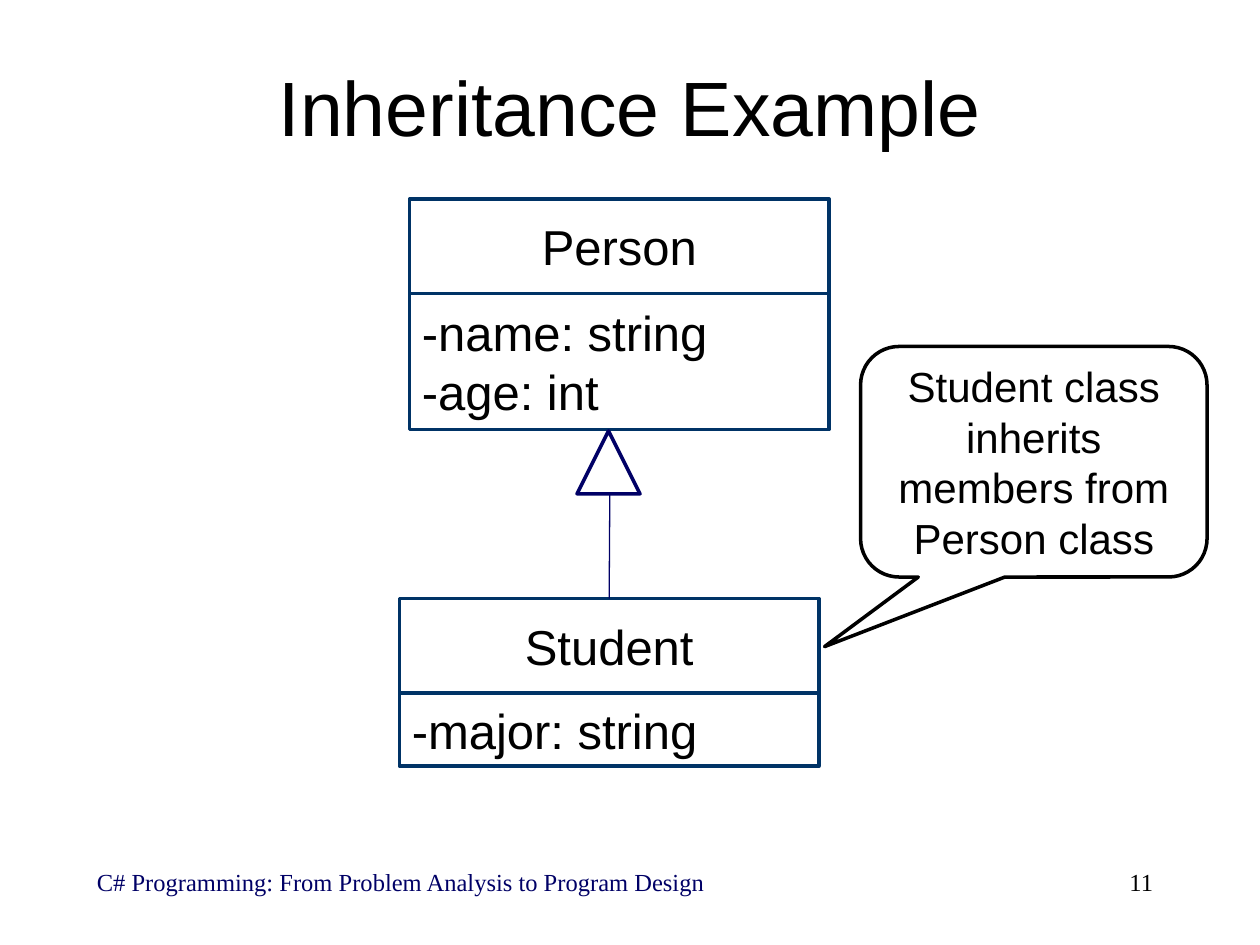
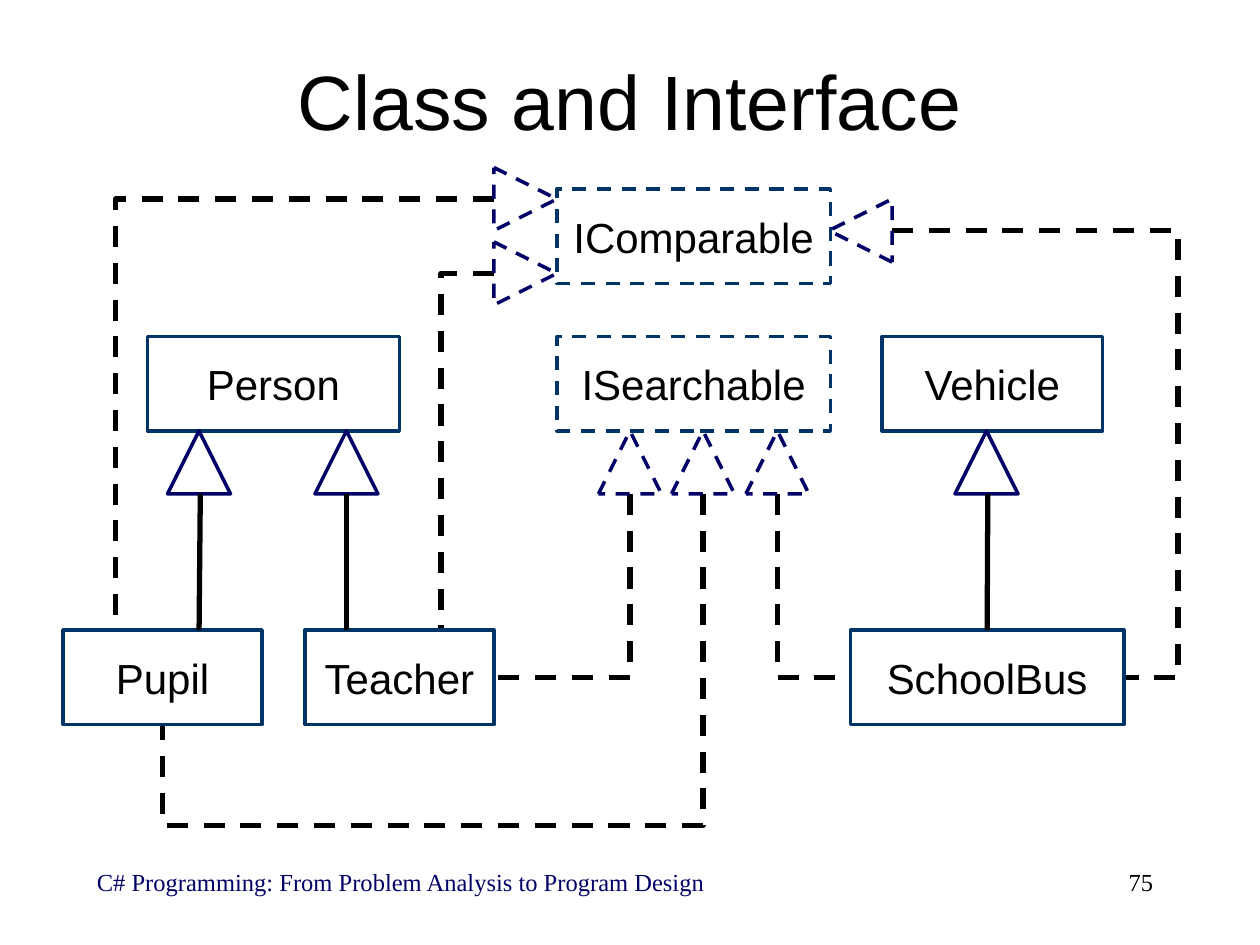
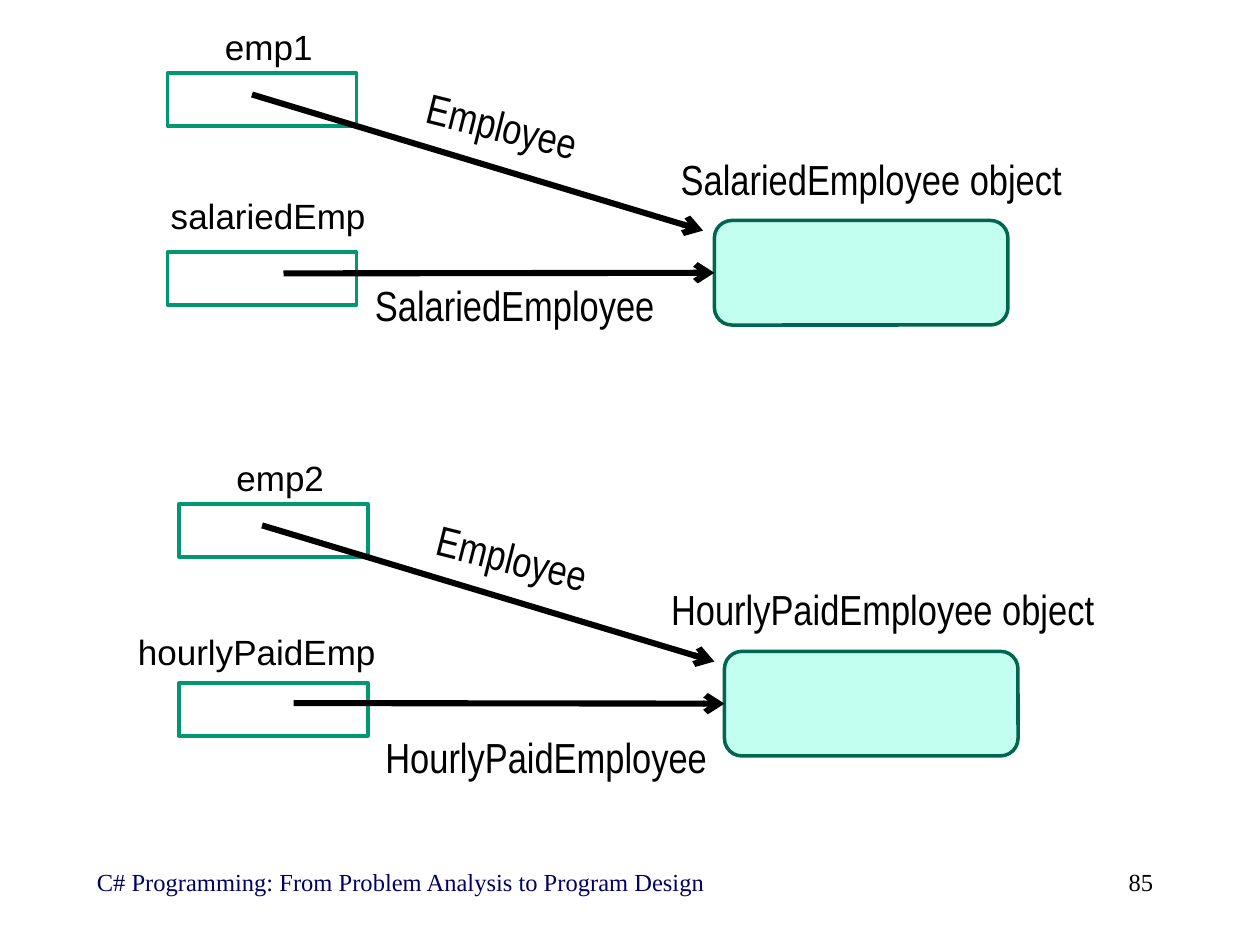
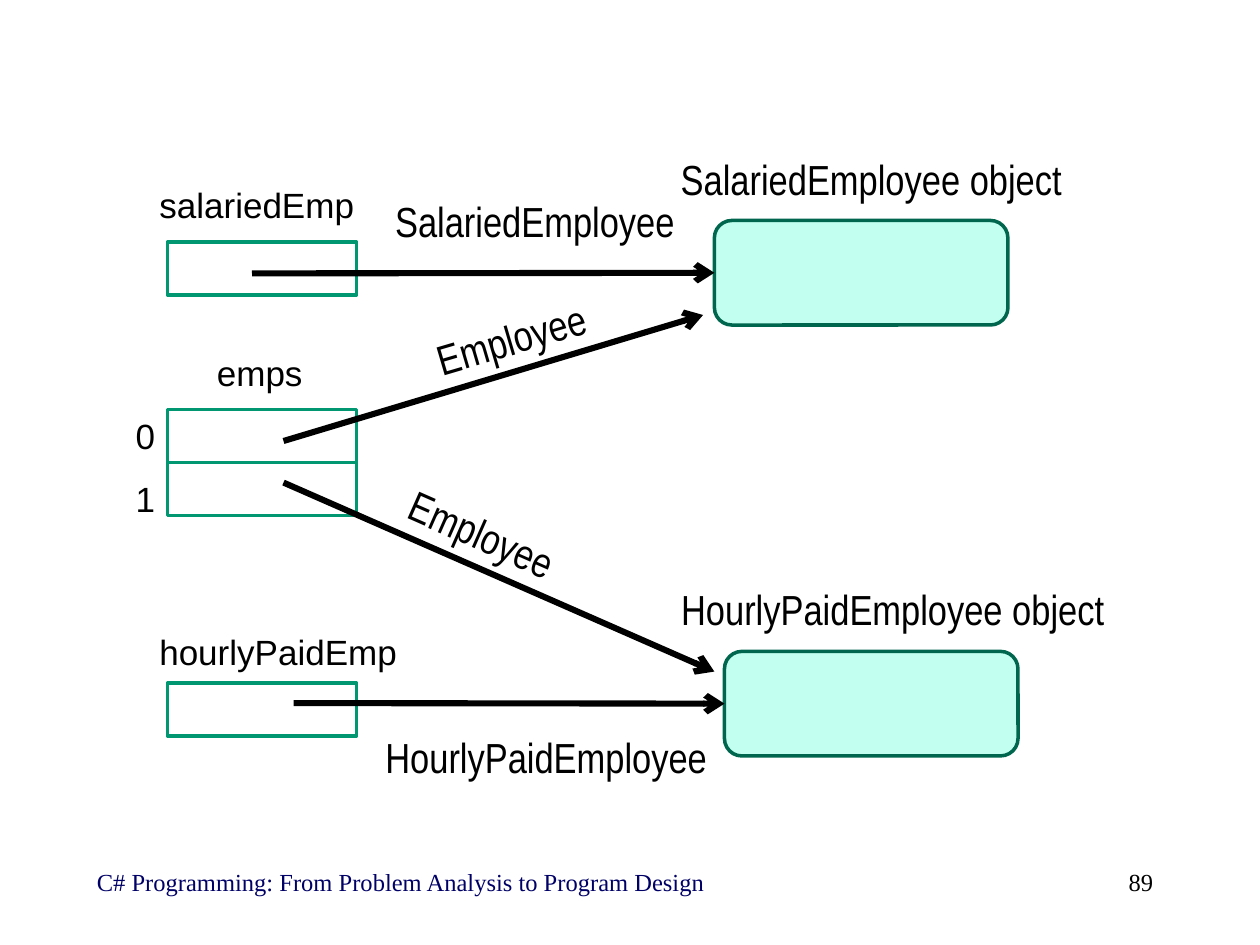
"""Build four slides of class diagrams and object references."""
from lxml import etree
from pptx import Presentation
from pptx import util as u
from pptx.dml.color import RGBColor
from pptx.enum import dml, shapes, text
from pptx.oxml.ns import qn

COLORS = {
    "black": "000000", "white": "FFFFFF", "navy": "000066", "class": "003366",
    "variable": "009771", "object": "00664D", "mint": "C2FFF0",
}
CENTER, LEFT, RIGHT = text.PP_ALIGN.CENTER, text.PP_ALIGN.LEFT, text.PP_ALIGN.RIGHT
TOP, MIDDLE = text.MSO_ANCHOR.TOP, text.MSO_ANCHOR.MIDDLE
STYLES = {
    "title": ("Arial", 44, "black", CENTER, MIDDLE),
    "class": ("Arial", 28, "black", CENTER, MIDDLE),
    "member": ("Arial", 28, "black", LEFT, MIDDLE),
    "small": ("Arial", 24, "black", CENTER, MIDDLE),
    "variable": ("Arial", 20, "black", RIGHT, MIDDLE),
    "type": ("Arial Narrow", 24, "black", CENTER, MIDDLE),
    "footer": ("Times New Roman", 14, "navy", LEFT, TOP),
    "number": ("Times New Roman", 14, "black", RIGHT, TOP),
}
FOOTER = "C# Programming: From Problem Analysis to Program Design"
RECTANGLE = shapes.MSO_SHAPE.RECTANGLE
TRIANGLE_SIDE, CLASS_HEIGHT = 0.5, 0.75
TYPE_SIZE, VARIABLE_SIZE, OBJECT_SIZE = (4.17, 0.67), (1.5, 0.42), (2.33, 0.83)

INHERITANCE = [
    ("Person", "class", (3.25, 1.58, 3.33, CLASS_HEIGHT)),
    ("Student", "class", (3.17, 4.75, 3.33, CLASS_HEIGHT)),
    ("-name: string\n-age: int", "member", (3.25, 2.33, 3.33, 1.08)),
    ("-major: string", "member", (3.17, 5.5, 3.33, 0.58)),
]
CALLOUT = "Student class inherits members from Person class"

CLASSES = [
    ("Person", 1.17, 2.67, 2, None, False),
    ("Pupil", 0.5, 5, 1.58, None, False),
    ("Teacher", 2.42, 5, 1.5, "white", False),
    ("Vehicle", 7, 2.67, 1.75, None, False),
    ("SchoolBus", 6.75, 5, 2.17, "white", False),
    ("ISearchable", 4.42, 2.67, 2.17, None, True),
    ("IComparable", 4.42, 1.5, 2.17, None, True),
]
TRIANGLES = [
    (1.33, 3.42, 0, False), (2.5, 3.42, 0, False), (7.58, 3.42, 0, False),
    (4.75, 3.42, 0, True), (5.33, 3.42, 0, True), (5.92, 3.42, 0, True),
    (3.92, 1.33, 90, True), (3.92, 1.92, 90, True), (6.58, 1.58, 270, True),
]
ROUTES = [
    [(5, 3.92), (5, 5.38), (3.92, 5.38)],
    [(6.17, 3.92), (6.17, 5.38), (6.75, 5.38)],
    [(5.58, 3.92), (5.58, 6.55), (1.29, 6.55), (1.29, 5.75)],
    [(3.92, 1.58), (0.92, 1.58), (0.92, 5)],
    [(7.08, 1.83), (9.35, 1.83), (9.35, 5.38), (8.92, 5.38)],
    [(3.92, 2.17), (3.5, 2.17), (3.5, 5)],
]
EXTENDS = [
    ((1.59, 3.92), (1.58, 5), None),
    ((2.75, 3.92), (2.75, 5), None),
    ((7.84, 3.92), (7.83, 5), "SchoolBus"),
]

OBJECTS = {"salaried": (5.67, 1.75), "hourly": (5.75, 5.17)}
REFERENCES = [
    {
        "number": "85",
        "variables": [(1.33, 0.58), (1.33, 2), (1.42, 4), (1.42, 5.42)],
        "names": [
            ("emp1", (1.58, 0.08, 1, 0.58)),
            ("salariedEmp", (0.92, 1.42, 2.08, 0.58)),
            ("emp2", (1.67, 3.5, 1, 0.58)),
            ("hourlyPaidEmp", (0.75, 4.92, 2.33, 0.5)),
        ],
        "types": [
            ("SalariedEmployee object", 4.83, 1.08, 0),
            ("SalariedEmployee", 2, 2.08, 0),
            ("HourlyPaidEmployee object", 4.92, 4.5, 0),
            ("HourlyPaidEmployee", 2.25, 5.67, 0),
            ("Employee", 1.9, 0.66, 14.2),
            ("Employee", 1.98, 4.09, 14.2),
        ],
        "arrows": [
            ((2, 0.75), (5.58, 1.83), None),
            ((2.25, 2.17), (5.67, 2.17), "salaried"),
            ((2.08, 4.17), (5.67, 5.25), None),
            ((2.33, 5.58), (5.75, 5.59), "hourly"),
        ],
    },
    {
        "number": "89",
        "variables": [(1.33, 1.92), (1.33, 3.25), (1.33, 3.67), (1.33, 5.42)],
        "names": [
            ("salariedEmp", (0.83, 1.33, 2.08, 0.58)),
            ("emps", (1.5, 2.67, 1, 0.58)),
            ("0", (0.33, 3.17, 1, 0.58)),
            ("1", (0.33, 3.67, 1, 0.58)),
            ("hourlyPaidEmp", (0.92, 4.92, 2.33, 0.5)),
        ],
        "types": [
            ("SalariedEmployee object", 4.83, 1.08, 0),
            ("SalariedEmployee", 2.16, 1.42, 0),
            ("HourlyPaidEmployee object", 5, 4.5, 0),
            ("HourlyPaidEmployee", 2.25, 5.67, 0),
            ("Employee", 1.97, 2.35, 343.6),
            ("Employee", 1.74, 3.9, 23.9),
        ],
        "arrows": [
            ((2, 2.17), (5.67, 2.17), "salaried"),
            ((2.25, 3.5), (5.58, 2.5), None),
            ((2.25, 3.83), (5.67, 5.33), None),
            ((2.33, 5.58), (5.75, 5.59), "hourly"),
        ],
    },
]


def rgb(name):
    return RGBColor.from_string(COLORS[name])


def inches(values):
    return [u.Inches(value) for value in values]


def set_attributes(target, values):
    for name, value in values.items():
        setattr(target, name, value)


def write(shape, content, style):
    font_name, size, color, alignment, anchor = STYLES[style]
    frame = shape.text_frame
    frame.text = content
    set_attributes(frame, {"word_wrap": True, "vertical_anchor": anchor})
    for paragraph in frame.paragraphs:
        paragraph.alignment = alignment
        set_attributes(paragraph.font, {"name": font_name, "size": u.Pt(size)})
        paragraph.font.color.rgb = rgb(color)


def set_line(line, color, width, dashed=False):
    line.color.rgb = rgb(color)
    line.width = u.Pt(width)
    if dashed:
        line.dash_style = dml.MSO_LINE.DASH


def add_label(slide, content, style, place, rotation=0):
    label = slide.shapes.add_textbox(*inches(place))
    write(label, content, style)
    label.rotation = rotation


def add_box(slide, place, line, fill=None, dashed=False, kind=RECTANGLE):
    box = slide.shapes.add_shape(kind, *inches(place))
    box.shadow.inherit = False
    if fill:
        box.fill.solid()
        box.fill.fore_color.rgb = rgb(fill)
    else:
        box.fill.background()
    set_line(box.line, line, 2, dashed)
    return box


def add_triangle(slide, left, top, rotation=0, dashed=False):
    triangle = add_box(slide, (left, top, TRIANGLE_SIDE, TRIANGLE_SIDE), "navy",
                       dashed=dashed, kind=shapes.MSO_SHAPE.ISOSCELES_TRIANGLE)
    triangle.rotation = rotation


def add_connector(slide, kind, start, end, color, width, dashed=False):
    connector = slide.shapes.add_connector(kind, *inches((*start, *end)))
    set_line(connector.line, color, width, dashed)
    etree.SubElement(connector.element.spPr, qn("a:effectLst"))
    return connector


def add_line(slide, start, end, target=None, side=0, color="black", width=3, arrow=False):
    line = add_connector(slide, shapes.MSO_CONNECTOR.STRAIGHT, start, end, color, width)
    if target is not None:
        line.end_connect(target, side)
    if arrow:
        outline = line.element.spPr.find(qn("a:ln"))
        etree.SubElement(outline, qn("a:tailEnd"), type="arrow")


def add_route(slide, points):
    """Draw an elbow; one leaving vertically is laid out flat, then turned by 90 degrees."""
    (x1, y1), (x2, y2) = start, end = points[0], points[-1]
    vertical = points[1][0] == x1
    if vertical:
        middle_x, middle_y = (x1 + x2) / 2, (y1 + y2) / 2
        half_width, half_height = (y2 - y1) / 2, (x1 - x2) / 2
        start = (middle_x - half_width, middle_y - half_height)
        end = (middle_x + half_width, middle_y + half_height)
    route = add_connector(slide, shapes.MSO_CONNECTOR.ELBOW, start, end, "black", 3, True)
    properties = route.element.spPr
    geometry = properties.find(qn("a:prstGeom"))
    if vertical:
        properties.find(qn("a:xfrm")).set("rot", str(90 * 60000))
    if len(points) == 3:
        geometry.set("prst", "bentConnector2")
    else:
        axis = 1 if vertical else 0
        reach = (points[1][axis] - points[0][axis]) / (points[-1][axis] - points[0][axis])
        guides = geometry.find(qn("a:avLst"))
        etree.SubElement(guides, qn("a:gd"), name="adj1", fmla=f"val {round(reach * 100000)}")


def add_slide(presentation, number, title=None, place=None):
    slide = presentation.slides.add_slide(presentation.slide_layouts[5 if title else 6])
    if title:
        heading = slide.shapes.title
        set_attributes(heading, dict(zip(("left", "top", "width", "height"), inches(place))))
        write(heading, title, "title")
    add_label(slide, FOOTER, "footer", (0.67, 6.83, 5.92, 0.5))
    add_label(slide, number, "number", (7.17, 6.83, 2.08, 0.5))
    return slide


def build_inheritance(presentation):
    slide = add_slide(presentation, "11", "Inheritance Example", (0.75, 0.17, 8.5, 1.33))
    callout = add_box(slide, (6.83, 2.75, 2.75, 1.83), "black", "white",
                      kind=shapes.MSO_SHAPE.ROUNDED_RECTANGULAR_CALLOUT)
    for index, value in enumerate((-0.604, 0.802, 0.167)):
        callout.adjustments[index] = value
    write(callout, CALLOUT, "small")
    boxes = {}
    for content, style, place in INHERITANCE:
        boxes[content] = add_box(slide, place, "class")
        write(boxes[content], content, style)
    add_triangle(slide, 4.58, 3.42)
    add_line(slide, (4.84, 3.92), (4.83, 4.75), boxes["Student"], color="navy", width=0.75)


def build_interfaces(presentation):
    slide = add_slide(presentation, "75", "Class and Interface", (0.5, 0.17, 9, 1.25))
    for points in ROUTES:
        add_route(slide, points)
    boxes = {}
    for name, left, top, width, fill, dashed in CLASSES:
        boxes[name] = add_box(slide, (left, top, width, CLASS_HEIGHT), "class", fill, dashed)
        write(boxes[name], name, "small")
    for triangle in TRIANGLES:
        add_triangle(slide, *triangle)
    for start, end, target in EXTENDS:
        add_line(slide, start, end, boxes.get(target))


def build_references(presentation, diagram):
    slide = add_slide(presentation, diagram["number"])
    objects = {
        name: add_box(slide, (*corner, *OBJECT_SIZE), "object", "mint",
                      kind=shapes.MSO_SHAPE.ROUNDED_RECTANGLE)
        for name, corner in OBJECTS.items()
    }
    for corner in diagram["variables"]:
        add_box(slide, (*corner, *VARIABLE_SIZE), "variable", "white")
    for name, place in diagram["names"]:
        add_label(slide, name, "variable", place)
    for start, end, target in diagram["arrows"]:
        add_line(slide, start, end, objects.get(target), side=1, width=3.5, arrow=True)
    for name, left, top, rotation in diagram["types"]:
        add_label(slide, name, "type", (left, top, *TYPE_SIZE), rotation)


def main():
    presentation = Presentation()
    set_attributes(presentation, {"slide_width": u.Inches(10), "slide_height": u.Inches(7.5)})
    build_inheritance(presentation)
    build_interfaces(presentation)
    for diagram in REFERENCES:
        build_references(presentation, diagram)
    presentation.save("out.pptx")


if __name__ == "__main__":
    main()
